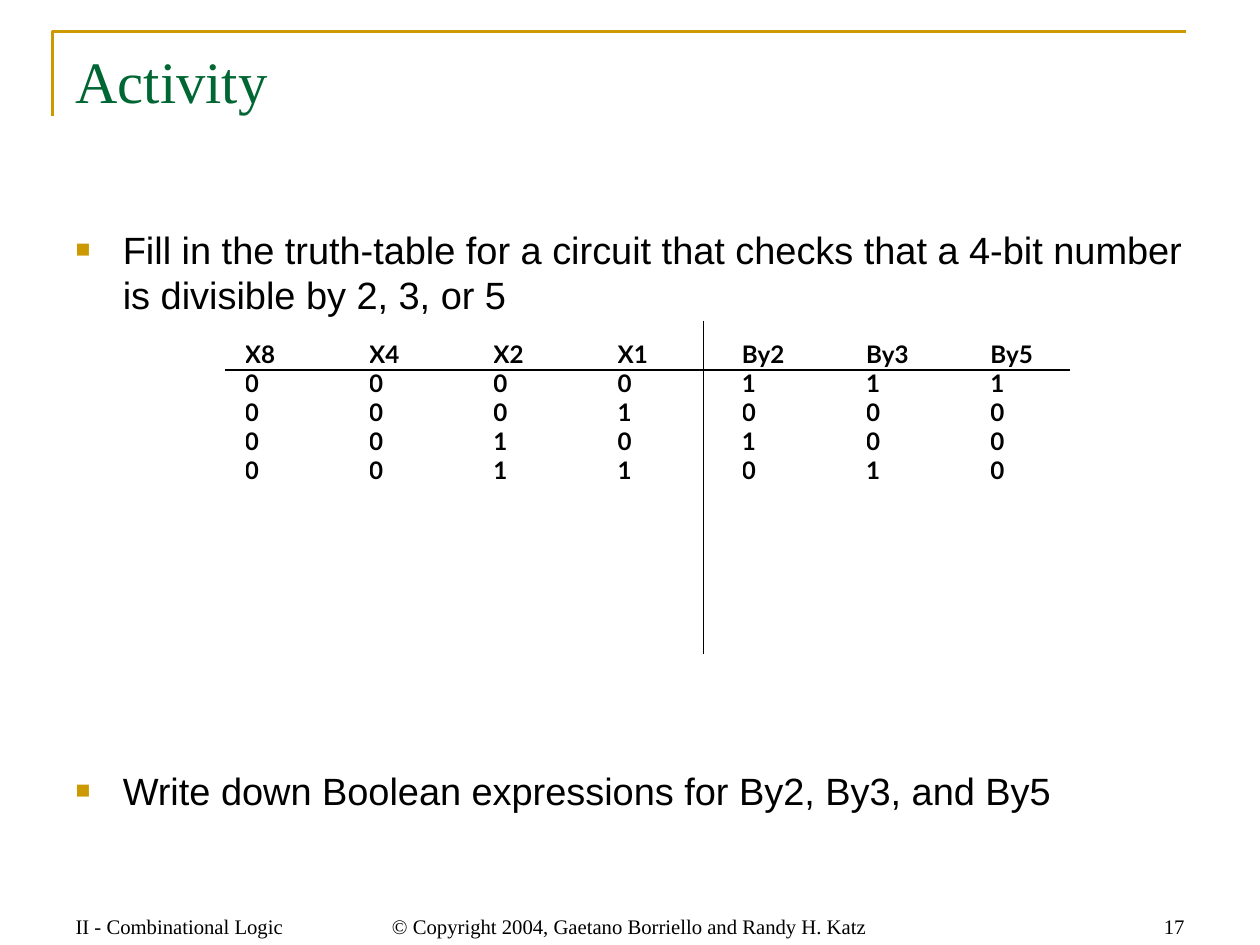
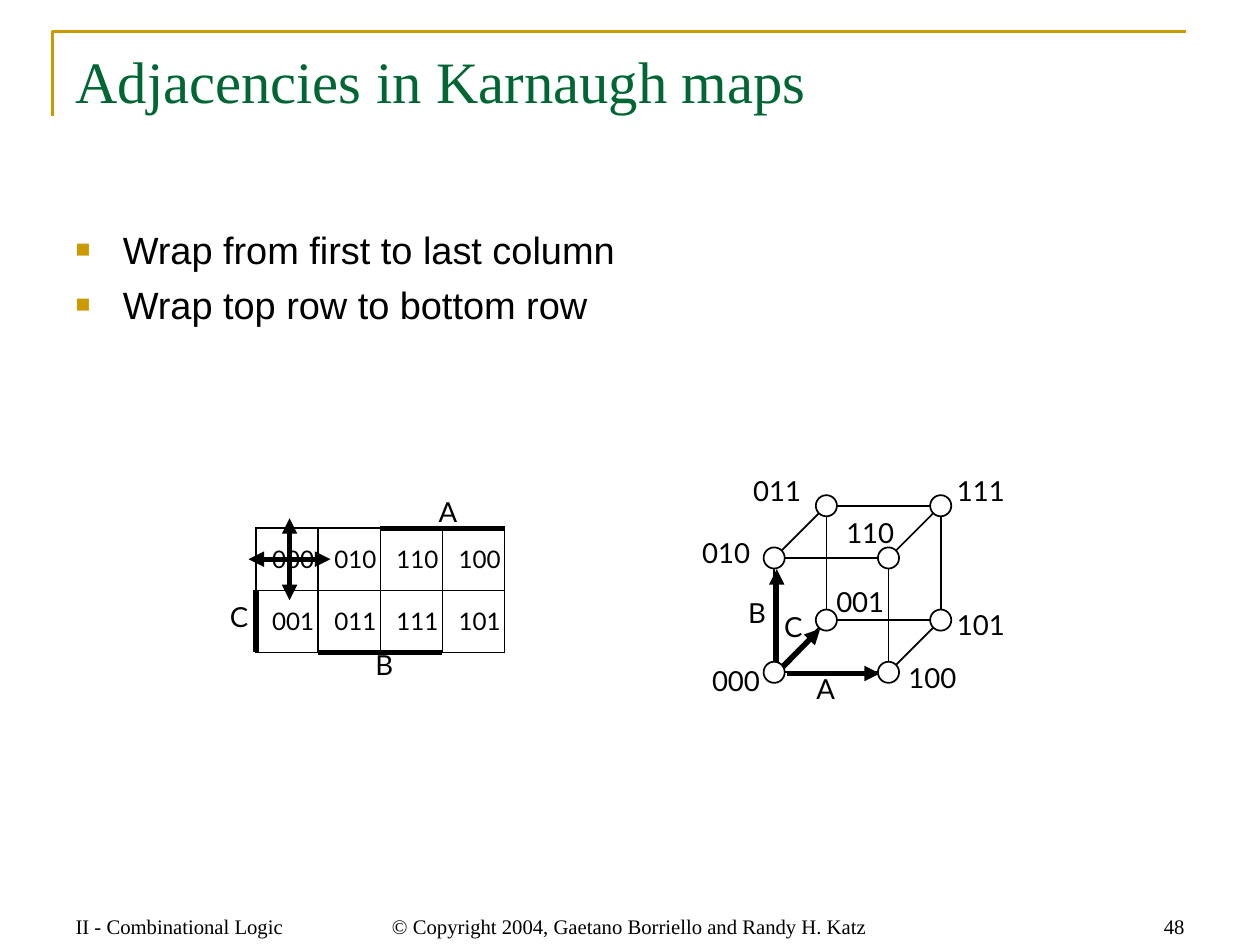
import itertools

import pptx
import pptx.dml.color
import pptx.enum.shapes
import pptx.enum.text
import pptx.oxml
import pptx.oxml.ns
import pptx.util
from lxml import etree

PX = 9144  # EMU in one px, 100 px to the inch
SLIDE_SIZE = (pptx.util.Pt(730), pptx.util.Pt(547.5))  # 4:3
COLORS = {"gold": "CC9900", "green": "006633", "ink": "000000", "paper": "FFFFFF"}
SERIF, SANS, DIAGRAM = "Times New Roman", "Arial", "Lato"
ALIGN = pptx.enum.text.PP_ALIGN
ANCHOR = pptx.enum.text.MSO_ANCHOR
THIN, THICK = 1, 3

TITLE_BOX = (51, 31, 912, 126)
BODY_BOX = (51, 177, 912, 502)
FOOTER_TOP, FOOTER_HEIGHT = 709, 51
CHAPTER = "II - Combinational Logic"
COPYRIGHT = "© Copyright 2004, Gaetano Borriello and Randy H. Katz"

TRUTH_TABLE = [
    ["X8", "X4", "X2", "X1", "By2", "By3", "By5"],
    ["0", "0", "0", "0", "1", "1", "1"],
    ["0", "0", "0", "1", "0", "0", "0"],
    ["0", "0", "1", "0", "1", "0", "0"],
    ["0", "0", "1", "1", "0", "1", "0"],
]
KARNAUGH_MAP = [["000", "010", "110", "100"], ["001", "011", "111", "101"]]
# Offset of each vertex label from the centre of its vertex
VERTEX_LABELS = {
    "000": (-52, -5), "001": (6, -27), "010": (-60, -16), "011": (-61, -24),
    "100": (14, -8), "101": (11, -8), "110": (-36, -32), "111": (11, -24),
}


def px(*lengths):
    return [pptx.util.Emu(length * PX) for length in lengths]


def rgb(name):
    return pptx.dml.color.RGBColor.from_string(COLORS[name])


def add_xml(parent, tag, **attributes):
    return etree.SubElement(parent, pptx.oxml.ns.qn(tag), attributes)


def set_line(line, color, width):
    line.color.rgb = rgb(color)
    line.width = pptx.util.Pt(width)


def format_paragraph(paragraph, font, size, color="ink", bold=False):
    for run in paragraph.runs:
        run.font.name = font
        run.font.size = pptx.util.Pt(size)
        run.font.color.rgb = rgb(color)
        run.font.bold = bold


def add_text(slide, box, lines, font, size, color="ink", align=ALIGN.LEFT,
             anchor=ANCHOR.TOP, margins=(10, 5), leading=None):
    """Add a text box and return its paragraphs, one for each line."""
    frame = slide.shapes.add_textbox(*px(*box)).text_frame
    frame.word_wrap = True
    frame.vertical_anchor = anchor
    frame.margin_left, frame.margin_top = px(*margins)
    frame.margin_right, frame.margin_bottom = px(*margins)
    frame.text = "\n".join(lines)
    for paragraph in frame.paragraphs:
        paragraph.alignment = align
        if leading:
            paragraph.line_spacing = pptx.util.Pt(leading)
        format_paragraph(paragraph, font, size, color)
    return frame.paragraphs


def add_line(slide, start, end, width=THIN, arrow=False):
    connector = slide.shapes.add_connector(
        pptx.enum.shapes.MSO_CONNECTOR.STRAIGHT, *px(*start, *end))
    set_line(connector.line, "ink", width)
    if arrow:
        add_xml(connector.line._get_or_add_ln(), "a:tailEnd", type="triangle")
    add_xml(connector._element.spPr, "a:effectLst")


def add_label(slide, left, top, text):
    add_text(slide, (left, top, 70, 36), [text], DIAGRAM, 16, margins=(2, 3), leading=16)


def add_bullets(slide, box, lines, gap=5.5):
    """Add bulleted lines, with the gap in points before each but the first."""
    paragraphs = add_text(slide, box, lines, SANS, 22, leading=26.4)
    for index, paragraph in enumerate(paragraphs):
        paragraph.space_before = pptx.util.Pt(gap if index else 0)
        properties = paragraph._p.get_or_add_pPr()
        properties.set("marL", str(38 * PX))
        properties.set("indent", str(-38 * PX))
        add_xml(add_xml(properties, "a:buClr"), "a:srgbClr", val=COLORS["gold"])
        add_xml(properties, "a:buSzPct", val="65000")
        add_xml(properties, "a:buFont", typeface=SANS)
        add_xml(properties, "a:buChar", char="■")


def add_cell_borders(cell):
    properties = cell._tc.get_or_add_tcPr()
    for tag in ("a:lnL", "a:lnR", "a:lnT", "a:lnB"):
        border = add_xml(properties, tag, w=str(pptx.util.Pt(THIN)))
        add_xml(add_xml(border, "a:solidFill"), "a:srgbClr", val=COLORS["ink"])


def add_grid(slide, left, top, cell_size, rows, bold=False, indent=0, borders=False):
    """Add a plain table whose cells all have the same size."""
    width, height = cell_size
    row_count, column_count = len(rows), len(rows[0])
    table = slide.shapes.add_table(
        row_count, column_count,
        *px(left, top, width * column_count, height * row_count)).table
    table.first_row = table.horz_banding = False
    for row, column in itertools.product(range(row_count), range(column_count)):
        cell = table.cell(row, column)
        if borders:
            add_cell_borders(cell)
        cell.fill.background()
        cell.margin_left, cell.margin_right = px(indent, 0)
        cell.margin_top = cell.margin_bottom = 0
        cell.vertical_anchor = ANCHOR.MIDDLE
        cell.text = rows[row][column]
        format_paragraph(cell.text_frame.paragraphs[0], DIAGRAM, 14, bold=bold)


def add_title_corner(slide, left, top, width, height):
    builder = slide.shapes.build_freeform(*px(left, top + height), scale=1.0)
    builder.add_line_segments([px(left, top), px(left + width, top)], close=False)
    corner = builder.convert_to_shape()
    corner.shadow.inherit = False
    corner.fill.background()
    set_line(corner.line, "gold", 1.75)


def add_framed_slide(presentation, title, number):
    """Add a slide with the title, corner rule and footer all slides share."""
    slide = presentation.slides.add_slide(presentation.slide_layouts[6])
    slide.background.fill.solid()
    slide.background.fill.fore_color.rgb = rgb("paper")
    add_title_corner(slide, 42, 25, 912, 68)
    add_text(slide, TITLE_BOX, [title], SERIF, 34, "green", leading=40.8)
    for left, width, text, align in (
        (51, 237, CHAPTER, ALIGN.LEFT),
        (290, 433, COPYRIGHT, ALIGN.CENTER),
        (726, 237, str(number), ALIGN.RIGHT),
    ):
        add_text(slide, (left, FOOTER_TOP, width, FOOTER_HEIGHT), [text], SERIF, 12,
                 align=align, anchor=ANCHOR.BOTTOM)
    return slide


def add_truth_table(slide, left, top):
    add_grid(slide, left, top, (100, 23), TRUTH_TABLE, bold=True)
    add_line(slide, (left + 369, top - 15), (left + 369, top + 253))
    add_line(slide, (left - 16, top + 25), (left + 664, top + 25))


def add_karnaugh_map(slide, left, top, cell=50):
    add_grid(slide, left, top, (cell, cell), KARNAUGH_MAP, indent=13, borders=True)
    right, bottom = left + 4 * cell, top + 2 * cell
    add_line(slide, (left + 2 * cell, top), (right, top), THICK)
    add_line(slide, (left + cell, bottom), (left + 3 * cell, bottom), THICK)
    add_line(slide, (left, top + cell), (left, bottom), THICK)
    add_label(slide, left + 145, top - 25, "A")
    add_label(slide, left + 94, bottom - 2, "B")
    add_label(slide, left - 23, top + 59, "C")
    center_x, center_y, reach = left + 27, top + 25, 33
    for step_x, step_y in ((1, 0), (0, 1), (0, -1), (-1, 0)):
        add_line(slide, (center_x, center_y),
                 (center_x + step_x * reach, center_y + step_y * reach), THICK, arrow=True)


def add_cube(slide, left, bottom):
    """Draw the cube of 3-bit codes, with vertex 000 centred at left, bottom."""
    axes = {"A": (92, 0), "B": (0, -92), "C": (42, -42)}
    vertices = {}
    for bits in itertools.product((0, 1), repeat=3):
        code = "".join(map(str, bits))
        vertices[code] = (
            left + sum(bit * axis[0] for bit, axis in zip(bits, axes.values())),
            bottom + sum(bit * axis[1] for bit, axis in zip(bits, axes.values())))

    for start, end in (((2, 1), (37, -35)), ((10, 1), (85, 1)), ((2, -8), (2, -83))):
        add_line(slide, (left + start[0], bottom + start[1]),
                 (left + end[0], bottom + end[1]), THICK, arrow=True)
    for first, second in itertools.combinations(vertices, 2):
        if sum(a != b for a, b in zip(first, second)) == 1:
            add_line(slide, vertices[first], vertices[second])

    diameter = 17
    for x, y in vertices.values():
        node = slide.shapes.add_shape(
            pptx.enum.shapes.MSO_SHAPE.OVAL,
            *px(x - diameter / 2, y - diameter / 2, diameter, diameter))
        node.shadow.inherit = False
        node.fill.solid()
        node.fill.fore_color.rgb = rgb("paper")
        set_line(node.line, "ink", THIN)
    for code, (x, y) in vertices.items():
        add_label(slide, x + VERTEX_LABELS[code][0], y + VERTEX_LABELS[code][1], code)
    for name, x, y in (("A", 32, 1), ("B", -23, -60), ("C", 6, -49)):
        add_label(slide, left + x, bottom + y, name)


def add_activity_slide(presentation):
    slide = add_framed_slide(presentation, "Activity", 17)
    add_bullets(slide, BODY_BOX, [
        "Fill in the truth-table for a circuit that checks that a 4-bit number "
        "is divisible by 2, 3, or 5",
        "Write down Boolean expressions for By2, By3, and By5",
    ], gap=261)
    add_truth_table(slide, 197, 273)


def add_adjacencies_slide(presentation):
    slide = add_framed_slide(presentation, "Adjacencies in Karnaugh maps", 48)
    add_bullets(slide, BODY_BOX,
                ["Wrap from first to last column", "Wrap top row to bottom row"])
    add_karnaugh_map(slide, 206, 425)
    add_cube(slide, 623, 541)


def main():
    presentation = pptx.Presentation()
    presentation.slide_width, presentation.slide_height = SLIDE_SIZE
    add_activity_slide(presentation)
    add_adjacencies_slide(presentation)
    presentation.save("out.pptx")


if __name__ == "__main__":
    main()
